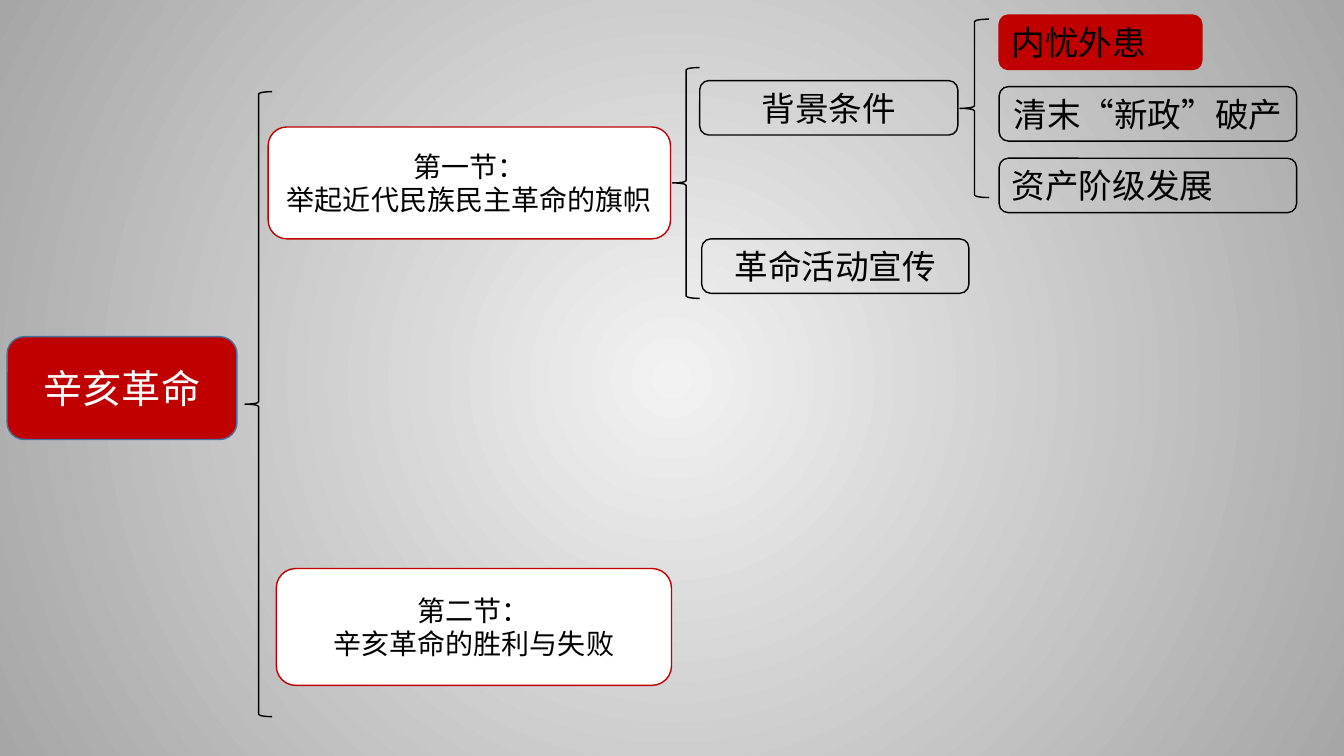
import pptx
import pptx.util
import pptx.dml.color
import pptx.enum.shapes
import pptx.enum.text
import pptx.oxml.ns
from lxml import etree

Inches = pptx.util.Inches
SHAPES = pptx.enum.shapes.MSO_SHAPE
ALIGN = pptx.enum.text.PP_ALIGN
FONT = "Noto Sans CJK SC"
RED, BLACK, WHITE, BLUE = "C00000", "000000", "FFFFFF", "43739E"

# Style: fill, line, text colour, text size
STYLES = {
    "root": (RED, BLUE, WHITE, 28),
    "section": (WHITE, RED, BLACK, 20),
    "topic": (None, BLACK, BLACK, 24),
    "current": (RED, RED, BLACK, 24),
}
TOPIC_HEIGHT = 0.54
DETAIL_LEFT, DETAIL_TOP, DETAIL_STEP = 9.91, 0.15, 0.71

# Lines, style, (left, top, width, height)
BOXES = [
    (["辛亥革命"], "root", (0.07, 3.34, 2.28, 1.02)),
    (["第一节：", "举起近代民族民主革命的旗帜"], "section", (2.66, 1.26, 3.99, 1.11)),
    (["第二节：", "辛亥革命的胜利与失败"], "section", (2.74, 5.64, 3.92, 1.16)),
    (["背景条件"], "topic", (6.94, 0.8, 2.56, TOPIC_HEIGHT)),
    (["革命活动宣传"], "topic", (6.96, 2.37, 2.65, TOPIC_HEIGHT)),
]
# Text, style, width, alignment
DETAILS = [
    ("内忧外患", "current", 2.01, ALIGN.LEFT),
    ("清末“新政”破产", "topic", 2.95, ALIGN.CENTER),
    ("资产阶级发展", "topic", 2.95, ALIGN.LEFT),
]
BRACES = [
    (2.43, 0.91, 0.27, 6.2),
    (6.67, 0.67, 0.27, 2.29),
    (9.52, 0.19, 0.29, 1.77),
]


def rgb(value):
    return pptx.dml.color.RGBColor.from_string(value)


def set_radial_background(slide, inner, outer):
    fill = slide.background.fill
    fill.gradient()
    for stop, position, color in zip(fill.gradient_stops, (0, 1), (inner, outer)):
        stop.position = position
        stop.color.rgb = rgb(color)
    qn = pptx.oxml.ns.qn
    gradient = slide.background._cSld.find(".//" + qn("a:gradFill"))
    gradient.remove(gradient.find(qn("a:lin")))
    circle = etree.SubElement(gradient, qn("a:path"), {"path": "circle"})
    center = dict.fromkeys("ltrb", "50000")
    etree.SubElement(circle, qn("a:fillToRect"), center)


def add_outlined(slide, preset, place, fill, line):
    shape = slide.shapes.add_shape(preset, *map(Inches, place))
    shape.shadow.inherit = False
    if fill:
        shape.fill.solid()
        shape.fill.fore_color.rgb = rgb(fill)
    else:
        shape.fill.background()
    shape.line.color.rgb = rgb(line)
    shape.line.width = pptx.util.Pt(1)
    return shape


def add_box(slide, lines, style, place, alignment=ALIGN.CENTER):
    fill, line, color, size = STYLES[style]
    shape = add_outlined(slide, SHAPES.ROUNDED_RECTANGLE, place, fill, line)
    frame = shape.text_frame
    frame.word_wrap = True
    frame.vertical_anchor = pptx.enum.text.MSO_ANCHOR.MIDDLE
    for index, text in enumerate(lines):
        paragraph = frame.add_paragraph() if index else frame.paragraphs[0]
        paragraph.alignment = alignment
        run = paragraph.add_run()
        run.text = text
        run.font.size = pptx.util.Pt(size)
        run.font.name = FONT
        run.font.color.rgb = rgb(color)
        east_asian = pptx.oxml.ns.qn("a:ea")
        etree.SubElement(run.font._element, east_asian, typeface=FONT)


def main():
    presentation = pptx.Presentation()
    presentation.slide_width = Inches(13.33)
    presentation.slide_height = Inches(7.5)
    slide = presentation.slides.add_slide(presentation.slide_layouts[6])
    set_radial_background(slide, "F2F2F2", "A6A6A6")
    for place in BRACES:
        add_outlined(slide, SHAPES.LEFT_BRACE, place, None, BLACK)
    for lines, style, place in BOXES:
        add_box(slide, lines, style, place)
    for row, (text, style, width, alignment) in enumerate(DETAILS):
        top = DETAIL_TOP + row * DETAIL_STEP
        place = (DETAIL_LEFT, top, width, TOPIC_HEIGHT)
        add_box(slide, [text], style, place, alignment)
    presentation.save("out.pptx")


if __name__ == "__main__":
    main()
